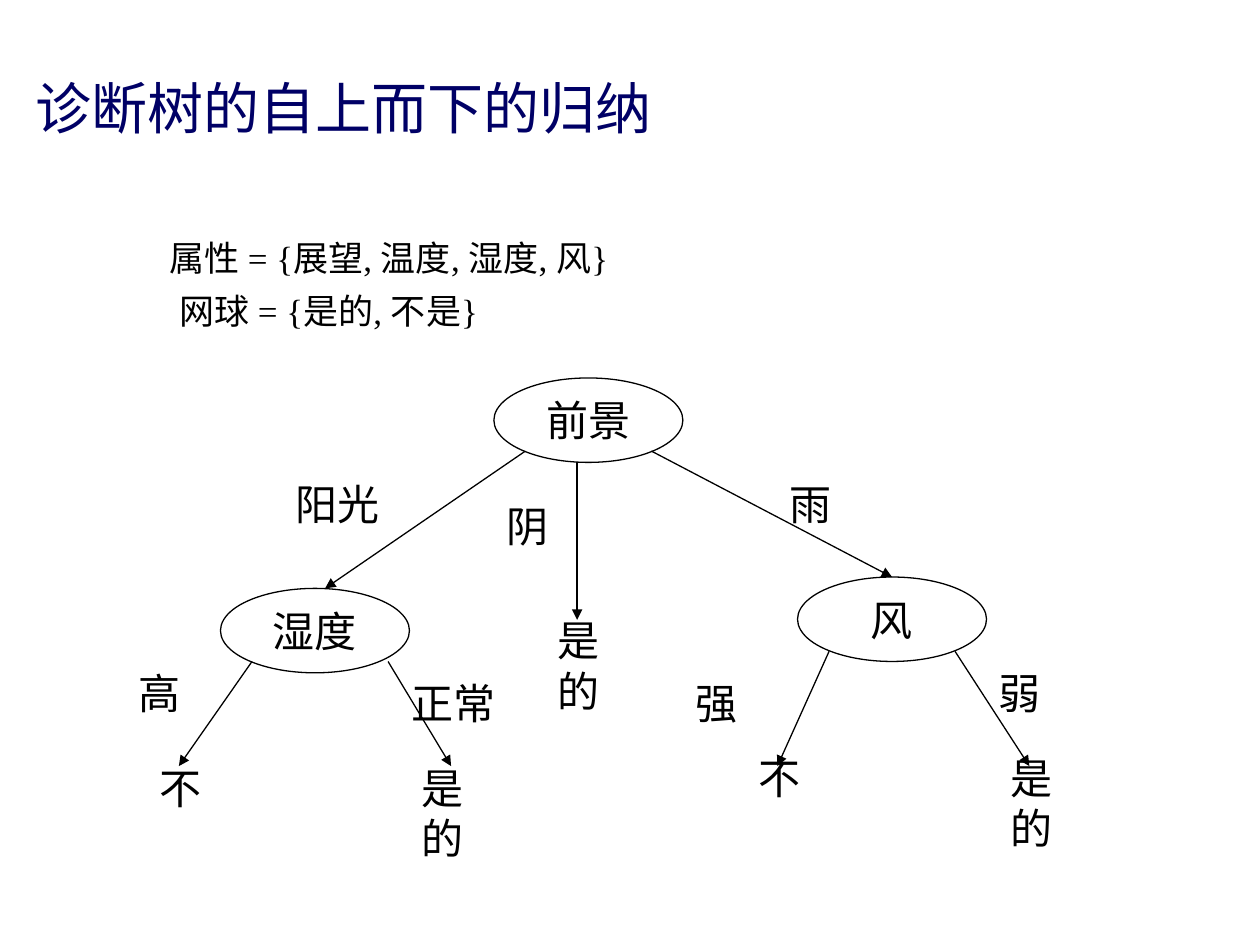
"""Build a slide showing a decision tree for playing tennis."""
from pptx import Presentation
from pptx.dml.color import RGBColor
from pptx.enum import shapes, text
from pptx.oxml import ns
from pptx.util import Inches, Pt
from lxml import etree

NAVY = RGBColor(0x00, 0x00, 0x66)
BLACK = RGBColor(0x00, 0x00, 0x00)
SERIF = "Times New Roman"
NODE_SIZE = (1.5, 0.67)
LABEL_HEIGHT = 0.5

TITLE = ("诊断树的自上而下的归纳", 0.18, 0.5, 9.51, 0.67)
SETS = [
    ("属性 = {展望, 温度, 湿度, 风}", 1.25, 1.83, 6.75, 0.43),
    ("网球 = {是的, 不是}", 1.33, 2.25, 4.42, 0.43),
]
NODES = [("前景", 3.92, 3), ("湿度", 1.75, 4.67), ("风", 6.33, 4.58)]
BRANCHES = [
    (4.17, 3.58, 2.58, 4.67),
    (4.58, 3.67, 4.58, 4.92),
    (5.17, 3.58, 7.08, 4.58),
    (2, 5.25, 1.42, 6.08),
    (3.08, 5.25, 3.58, 6.08),
    (6.58, 5.17, 6.17, 6.08),
    (7.58, 5.17, 8.17, 6.08),
]
BRANCH_LABELS = [
    ("阳光", 2.25, 3.75, 1.17),
    ("阴", 3.92, 3.92, 1.5),
    ("雨", 6.17, 3.75, 1.42),
    ("高", 1, 5.25, 0.83),
    ("正常", 3.17, 5.33, 1.17),
    ("强", 5.42, 5.33, 1.17),
    ("弱", 7.83, 5.25, 1.33),
]
LEAVES = [
    ("是的", 4.33, 4.83, 0.75),
    ("不", 1.17, 6, 0.58),
    ("是的", 3.25, 6, 0.75),
    ("不", 5.92, 5.92, 0.67),
    ("是的", 7.92, 5.92, 0.83),
]


def write(frame, words, size, font=SERIF, color=BLACK):
    frame.text = words
    face = frame.paragraphs[0].runs[0].font
    face.name, face.size = font, Pt(size)
    face.color.rgb = color


def add_words(parent, words, box, size, **style):
    frame = parent.add_textbox(*map(Inches, box)).text_frame
    frame.word_wrap = True
    write(frame, words, size, **style)
    return frame


def add_node(parent, words, left, top):
    node = parent.add_shape(
        shapes.MSO_SHAPE.OVAL, *map(Inches, (left, top, *NODE_SIZE)))
    node.shadow.inherit = False
    node.fill.background()
    node.line.color.rgb, node.line.width = BLACK, Pt(0.75)
    write(node.text_frame, words, 24)
    node.text_frame.word_wrap = False
    node.text_frame.vertical_anchor = text.MSO_ANCHOR.MIDDLE
    node.text_frame.paragraphs[0].alignment = text.PP_ALIGN.CENTER


def add_branch(parent, ends):
    branch = parent.add_connector(
        shapes.MSO_CONNECTOR.STRAIGHT, *map(Inches, ends))
    branch.line.color.rgb, branch.line.width = BLACK, Pt(0.75)
    etree.SubElement(
        branch.line._get_or_add_ln(), ns.qn("a:tailEnd"), type="triangle")
    etree.SubElement(branch._element.spPr, ns.qn("a:effectLst"))


def main():
    deck = Presentation()
    deck.slide_width, deck.slide_height = Inches(10), Inches(7.5)
    slide = deck.slides.add_slide(deck.slide_layouts[6])

    words, *box = TITLE
    title = add_words(slide.shapes, words, box, 32,
                      font="Montserrat", color=NAVY)
    title.vertical_anchor = text.MSO_ANCHOR.BOTTOM
    for words, *box in SETS:
        add_words(slide.shapes, words, box, 20)

    tree = slide.shapes.add_group_shape().shapes
    for ends in BRANCHES:
        add_branch(tree, ends)
    for node in NODES:
        add_node(tree, *node)
    for words, *place in BRANCH_LABELS + LEAVES:
        label = add_words(tree, words, (*place, LABEL_HEIGHT), 24)
        label.auto_size = text.MSO_AUTO_SIZE.SHAPE_TO_FIT_TEXT

    deck.save("out.pptx")


if __name__ == "__main__":
    main()
